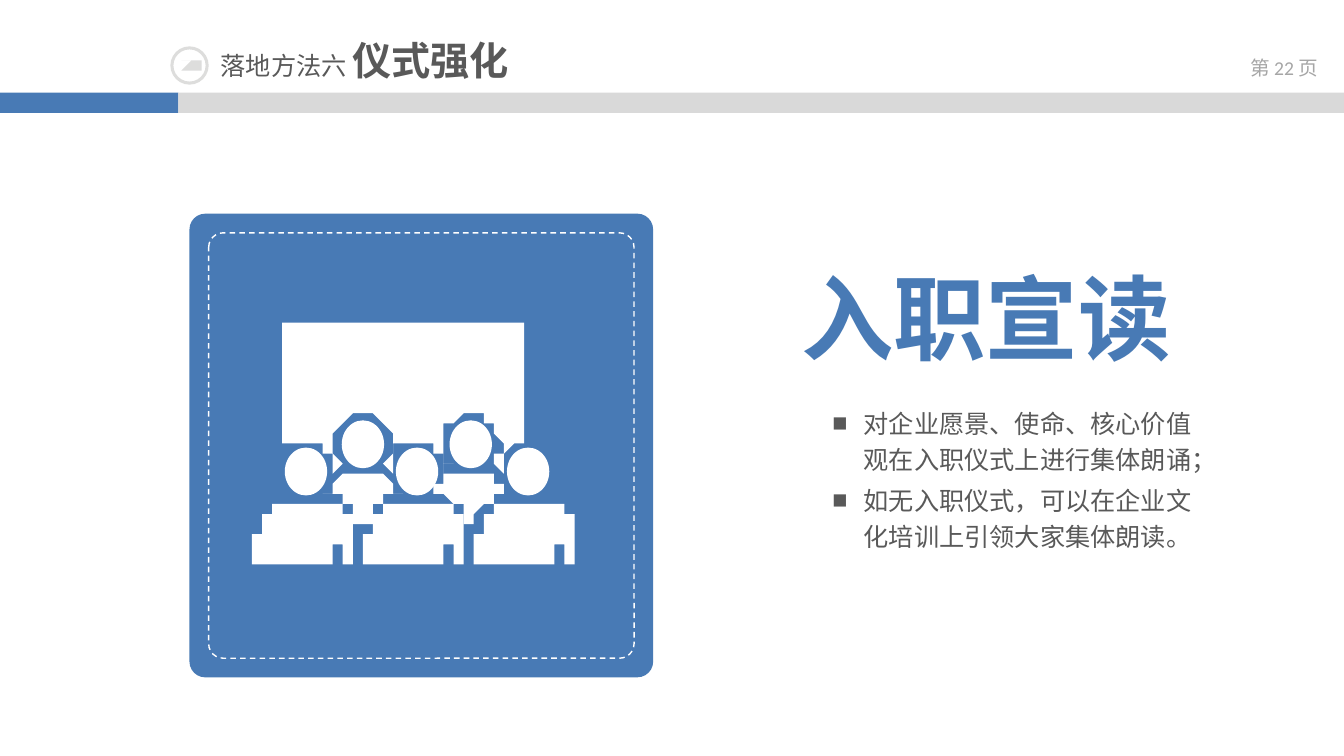
from lxml.etree import SubElement as Sub
from pptx import Presentation
from pptx.dml.color import RGBColor as Rgb
from pptx.enum.dml import MSO_LINE as Dash
from pptx.enum.shapes import MSO_SHAPE as Kind
from pptx.enum.text import MSO_AUTO_SIZE as Fit, PP_ALIGN as Align
from pptx.oxml.ns import qn
from pptx.util import Inches, Pt

BLUE = Rgb(0x48, 0x7A, 0xB5)
WHITE = Rgb(0xFF, 0xFF, 0xFF)
BAND = Rgb(0xD9, 0xD9, 0xD9)
ICON = Rgb(0xDD, 0xDD, 0xDC)
PALE = Rgb(0xA6, 0xA6, 0xA6)
DARK = Rgb(0x59, 0x59, 0x59)
LATIN, HAN = "Calibri", "Noto Sans CJK SC"
CELL = Inches(0.1)
COLS, ROWS = 133.33, 75
STEPS = 8

ARROW = [(18.2, 7.3), (18.5, 6.9, 18.9, 6.5, 19.3, 6.1), (19.3, 6.7),
         (19.3, 6.9, 19.6, 7, 19.6, 6.7), (19.6, 5.8),
         (19.6, 5.6, 19.5, 5.6, 19.3, 5.6), (18.5, 5.6),
         (18.2, 5.6, 18.3, 5.9, 18.5, 5.9), (19, 5.9), (17.9, 7.1),
         (17.7, 7.3, 18, 7.4, 18.2, 7.3)]
FRONT = [(0, 0), (-3.2, 0, -4.1, 1.5, -4.35, 1.7),
         (-4.75, 2.4, -4.85, 3.2, -4.95, 4), (-4.95, 6.4), (-3.3, 6.4),
         (-3.25, 5.6), (-3.25, 4.6), (-3.15, 4.5, -3.05, 4.4, -2.95, 4.5),
         (-2.95, 6.4)]
BACK = [(0, 0), (-1.4, 0.1, -2.6, 0.3, -3.3, 1.3),
        (-3.5, 1.5, -3.6, 1.8, -3.7, 2.1),
        (-2.4, 2.2, -1.2, 2.7, -0.9, 3.4),
        (-0.6, 3.8, -0.5, 4.3, -0.5, 4.9)]
SCREEN = [(28.3, 44.5), (28.8, 43.9, 29.5, 43.5, 30.3, 43.5),
          (31.8, 43.5, 32.9, 44.8, 32.9, 46.3), (32.8, 47),
          (33.2, 46.7, 33.4, 46.4, 34.1, 46.4),
          (33.4, 45.7, 33.2, 45, 33.2, 44.2),
          (33.2, 42.4, 34.4, 41.1, 36, 41.1),
          (37.5, 41.1, 38.8, 42.4, 38.8, 44.2),
          (38.8, 45, 38.5, 45.8, 37.9, 46.4), (38.7, 46.7), (38.7, 46.3),
          (38.7, 44.8, 39.9, 43.5, 41.3, 43.5),
          (42.8, 43.5, 43.9, 44.8, 43.9, 46.3), (43.9, 46.7),
          (44.2, 46.6, 44.5, 46.4, 44.8, 46.4),
          (44.2, 45.8, 43.9, 45, 43.9, 44.2),
          (43.9, 42.4, 45.2, 41.1, 46.7, 41.1),
          (48.3, 41.1, 49.6, 42.4, 49.6, 44.2),
          (49.6, 45, 49.2, 45.8, 48.6, 46.4), (49.7, 46.9), (49.7, 46.3),
          (49.8, 44.6, 51, 43.5, 52.5, 43.5), (52.5, 31.6), (28.3, 31.6)]


def trace(segs):
    """Turn lines (2 numbers) and curves (6 numbers) into points."""
    pts = [segs[0]]
    for seg in segs[1:]:
        if len(seg) == 2:
            pts.append(seg)
            continue
        knots = list(zip((*pts[-1], *seg)[::2], (*pts[-1], *seg)[1::2]))
        for step in range(1, STEPS + 1):
            t = step / STEPS
            parts = ((1 - t) ** 3, 3 * t * (1 - t) ** 2,
                     3 * t * t * (1 - t), t ** 3)
            pts.append(tuple(sum(w * k[i] for w, k in zip(parts, knots))
                             for i in (0, 1)))
    return pts


def paint(shape, fill):
    """Give a shape a plain fill, no line and no shadow."""
    shape.shadow.inherit = False
    shape.fill.solid()
    shape.fill.fore_color.rgb = fill
    shape.line.fill.background()


def block(slide, kind, x, y, w, h, fill, adj=None):
    """Add a preset shape placed in grid cells."""
    box = [round(n * CELL) for n in (x, y, w, h)]
    shape = slide.shapes.add_shape(kind, *box)
    paint(shape, fill)
    if adj is not None:
        shape.adjustments[0] = adj
    return shape


def outline(slide, pts, fill):
    """Add a closed outline through points in grid cells."""
    first, *rest = pts
    pen = slide.shapes.build_freeform(*first, scale=CELL)
    pen.add_line_segments(rest, close=True)
    paint(pen.convert_to_shape(), fill)


def person(slide, mid, head, half, top):
    """Add a head and a body that mirrors one half."""
    block(slide, Kind.OVAL, mid - 2.1, head, 4.2, 4.75, WHITE)
    left = trace(half)
    right = [(-x, y) for x, y in reversed(left[1:])]
    outline(slide, [(mid + x, top + y) for x, y in left + right], WHITE)


def frame(slide, x, y, w, h, wrap=False):
    """Add a text box and return its frame."""
    box = [round(n * CELL) for n in (x, y, w, h)]
    text = slide.shapes.add_textbox(*box).text_frame
    text.word_wrap = wrap
    text.auto_size = Fit.SHAPE_TO_FIT_TEXT
    return text


def write(para, text, size, color, bold=False, face=LATIN):
    """Add one run with its font."""
    run = para.add_run()
    run.text = text
    font = run.font
    font.size, font.bold, font.name = Pt(size), bold, face
    font.color.rgb = color
    Sub(font._element, qn("a:ea")).set("typeface", face)


def bullet(para, text, first):
    """Fill a paragraph as a square bullet point."""
    props = para._p.get_or_add_pPr()
    props.set("marL", str(Inches(0.31)))
    props.set("indent", str(-Inches(0.31)))
    Sub(props, qn("a:buFont")).set("typeface", "Arial")
    Sub(props, qn("a:buChar")).set("char", "■")
    para.line_spacing = 1.2
    para.space_before = Pt(0 if first else 3)
    write(para, text, 18, DARK)


def header(slide):
    """Add the band, the icon, the title and the page number."""
    block(slide, Kind.RECTANGLE, 0, 9.2, 17.7, 2, BLUE)
    block(slide, Kind.RECTANGLE, 17.7, 9.2, COLS - 17.7, 2, BAND)
    page = frame(slide, 121.4, 5.1, 12, 4, True).paragraphs[0]
    page.alignment = Align.CENTER
    for text, face in (("第 ", HAN), ("22 ", LATIN), ("页", HAN)):
        write(page, text, 14, PALE, face=face)
    block(slide, Kind.DONUT, 16.9, 4.6, 3.8, 3.8, ICON, 0.08)
    outline(slide, trace(ARROW), ICON)
    title = frame(slide, 20.9, 3.1, 30.9, 5.7).paragraphs[0]
    write(title, "落地方法六 ", 18, DARK)
    write(title, "仪式强化", 28, DARK, True)


def card(slide):
    """Add the blue card with an audience before a screen."""
    block(slide, Kind.ROUNDED_RECTANGLE, 18.8, 21.2, 46, 46, BLUE, 0.034)
    edge = block(slide, Kind.ROUNDED_RECTANGLE, 20.7, 23.1, 42.2, 42.2,
                 BLUE, 0.034)
    edge.fill.background()
    edge.line.color.rgb = WHITE
    edge.line.width = Pt(1)
    edge.line.dash_style = Dash.DASH
    outline(slide, trace(SCREEN), WHITE)
    for mid in (36, 46.7):
        person(slide, mid, 41.7, BACK, 47)
    for seat in range(3):
        person(slide, 30.35 + 11.02 * seat, 44.4, FRONT, 49.7)


def main():
    """Build the slide and save it."""
    deck = Presentation()
    deck.slide_width = round(COLS * CELL)
    deck.slide_height = ROWS * CELL
    slide = deck.slides.add_slide(deck.slide_layouts[6])
    header(slide)
    card(slide)
    head = frame(slide, 78.3, 25.4, 39, 12.1).paragraphs[0]
    head.alignment = Align.CENTER
    write(head, "入职宣读", 66, BLUE, True)
    body = frame(slide, 81.6, 39.4, 38.4, 15.7, True)
    bullet(body.paragraphs[0],
           "对企业愿景、使命、核心价值观在入职仪式上进行集体朗诵；", True)
    bullet(body.add_paragraph(),
           "如无入职仪式，可以在企业文化培训上引领大家集体朗读。", False)
    deck.save("out.pptx")


if __name__ == "__main__":
    main()
